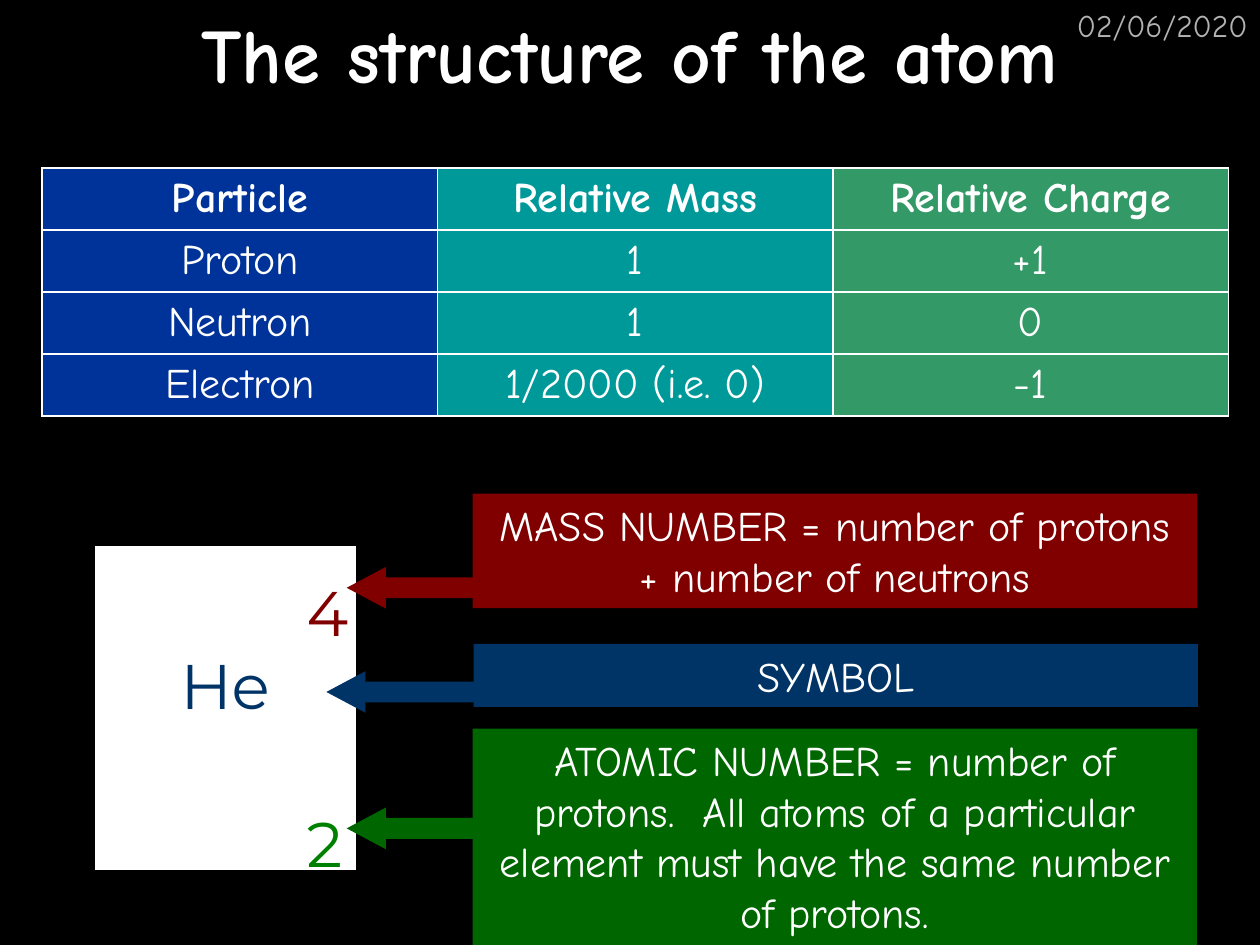
import dataclasses

import lxml.etree
import pptx
import pptx.dml.color
import pptx.enum.shapes
import pptx.enum.text
import pptx.oxml.ns
import pptx.util

Cm = pptx.util.Cm
Pt = pptx.util.Pt
RGBColor = pptx.dml.color.RGBColor
Align = pptx.enum.text.PP_ALIGN
Anchor = pptx.enum.text.MSO_ANCHOR
Shape = pptx.enum.shapes.MSO_SHAPE
qn = pptx.oxml.ns.qn

BLACK = RGBColor(0x00, 0x00, 0x00)
WHITE = RGBColor(0xFF, 0xFF, 0xFF)
GREY = RGBColor(0xB2, 0xB2, 0xB2)
MAROON = RGBColor(0x80, 0x00, 0x00)
NAVY = RGBColor(0x00, 0x33, 0x66)
DARK_GREEN = RGBColor(0x00, 0x66, 0x00)
GREEN = RGBColor(0x00, 0x80, 0x00)
COLUMN_COLORS = (
    RGBColor(0x00, 0x33, 0x99),
    RGBColor(0x00, 0x99, 0x99),
    RGBColor(0x33, 0x99, 0x66),
)
BODY_FONT = "Comic Neue"
SYMBOL_FONT = "Montserrat"

PARTICLES = (
    ("Particle", "Relative Mass", "Relative Charge"),
    ("Proton", "1", "+1"),
    ("Neutron", "1", "0"),
    ("Electron", "1/2000 (i.e. 0)", "-1"),
)


@dataclasses.dataclass(frozen=True)
class Area:
    left: float
    top: float
    width: float
    height: float

    def lengths(self) -> tuple:
        return Cm(self.left), Cm(self.top), Cm(self.width), Cm(self.height)


@dataclasses.dataclass(frozen=True)
class Style:
    size: int
    color: RGBColor = WHITE
    font: str = BODY_FONT
    bold: bool = False
    align: Align = Align.CENTER


@dataclasses.dataclass(frozen=True)
class Label:
    text: str
    area: Area
    style: Style
    anchor: Anchor = Anchor.TOP
    wrap: bool = True


@dataclasses.dataclass(frozen=True)
class Callout:
    text: str
    color: RGBColor
    banner: Area
    arrow_left: float
    arrow_top: float


LABELS = (
    Label("02/06/2020", Area(20.12, 0, 5.28, 1.27), Style(18, GREY, align=Align.RIGHT)),
    Label("The structure of the atom", Area(0, 0, 25.4, 2.11),
          Style(44, bold=True), Anchor.MIDDLE),
)
ELEMENT_CARD = Area(1.91, 11, 5.28, 6.56)
ELEMENT_LABELS = tuple(
    Label(text, area, Style(36, color, SYMBOL_FONT, align=Align.LEFT), wrap=False)
    for text, area, color in (
        ("He", Area(3.39, 12.91, 2.33, 2.64), NAVY),
        ("2", Area(5.93, 16.09, 0.85, 0.95), GREEN),
        ("4", Area(5.93, 11.43, 0.85, 1.06), MAROON),
    )
)
CALLOUTS = (
    Callout("MASS NUMBER = number of protons + number of neutrons",
            MAROON, Area(9.53, 9.95, 14.6, 2.31), 6.99, 11.43),
    Callout("SYMBOL", NAVY, Area(9.55, 12.98, 14.6, 1.27), 6.58, 13.53),
    Callout("ATOMIC NUMBER = number of protons.  All atoms of a particular "
            "element must have the same number of protons.",
            DARK_GREEN, Area(9.53, 14.69, 14.6, 4.36), 6.99, 16.28),
)


def write_text(frame, text: str, style: Style) -> None:
    para = frame.paragraphs[0]
    para.alignment = style.align
    span = para.add_run()
    span.text = text
    span.font.name = style.font
    span.font.size = Pt(style.size)
    span.font.bold = style.bold
    span.font.color.rgb = style.color


def add_label(page, label: Label) -> None:
    box = page.shapes.add_textbox(*label.area.lengths())
    box.text_frame.word_wrap = label.wrap
    box.text_frame.vertical_anchor = label.anchor
    write_text(box.text_frame, label.text, label.style)


def add_block(page, kind: Shape, area: Area, color: RGBColor):
    block = page.shapes.add_shape(kind, *area.lengths())
    block.shadow.inherit = False
    block.fill.solid()
    block.fill.fore_color.rgb = color
    block.line.fill.background()
    return block


def add_callout(page, callout: Callout) -> None:
    arrow_area = Area(callout.arrow_left, callout.arrow_top, 3.18, 0.84)
    arrow = add_block(page, Shape.LEFT_ARROW, arrow_area, callout.color)
    arrow.adjustments[0] = 0.5
    arrow.adjustments[1] = 0.94
    banner = add_block(page, Shape.RECTANGLE, callout.banner, callout.color)
    banner.text_frame.word_wrap = True
    banner.text_frame.vertical_anchor = Anchor.TOP
    write_text(banner.text_frame, callout.text, Style(24))


def add_borders(cell, color: RGBColor) -> None:
    properties = cell._tc.get_or_add_tcPr()
    for index, side in enumerate(("a:lnL", "a:lnR", "a:lnT", "a:lnB")):
        border = lxml.etree.Element(qn(side), w=str(Pt(1)))
        fill = lxml.etree.SubElement(border, qn("a:solidFill"))
        lxml.etree.SubElement(fill, qn("a:srgbClr"), val=str(color))
        properties.insert(index, border)


def add_particle_table(page) -> None:
    area = Area(0.85, 3.39, 23.91, 5)
    table = page.shapes.add_table(
        len(PARTICLES), len(COLUMN_COLORS), *area.lengths()).table
    for column in table.columns:
        column.width = Cm(area.width / len(COLUMN_COLORS))
    for row_index, values in enumerate(PARTICLES):
        table.rows[row_index].height = Cm(area.height / len(PARTICLES))
        for column_index, value in enumerate(values):
            cell = table.cell(row_index, column_index)
            cell.fill.solid()
            cell.fill.fore_color.rgb = COLUMN_COLORS[column_index]
            cell.vertical_anchor = Anchor.MIDDLE
            cell.margin_top = cell.margin_bottom = Cm(0.1)
            write_text(cell.text_frame, value, Style(24, bold=row_index == 0))
            add_borders(cell, WHITE)


def main() -> None:
    deck = pptx.Presentation()
    deck.slide_width = Cm(25.4)
    deck.slide_height = Cm(19.05)
    page = deck.slides.add_slide(deck.slide_layouts[6])
    page.background.fill.solid()
    page.background.fill.fore_color.rgb = BLACK

    for label in LABELS:
        add_label(page, label)
    add_particle_table(page)
    card = add_block(page, Shape.RECTANGLE, ELEMENT_CARD, WHITE)
    card.line.color.rgb = BLACK
    card.line.width = Pt(0.75)
    for label in ELEMENT_LABELS:
        add_label(page, label)
    for callout in CALLOUTS:
        add_callout(page, callout)
    deck.save("out.pptx")


if __name__ == "__main__":
    main()
